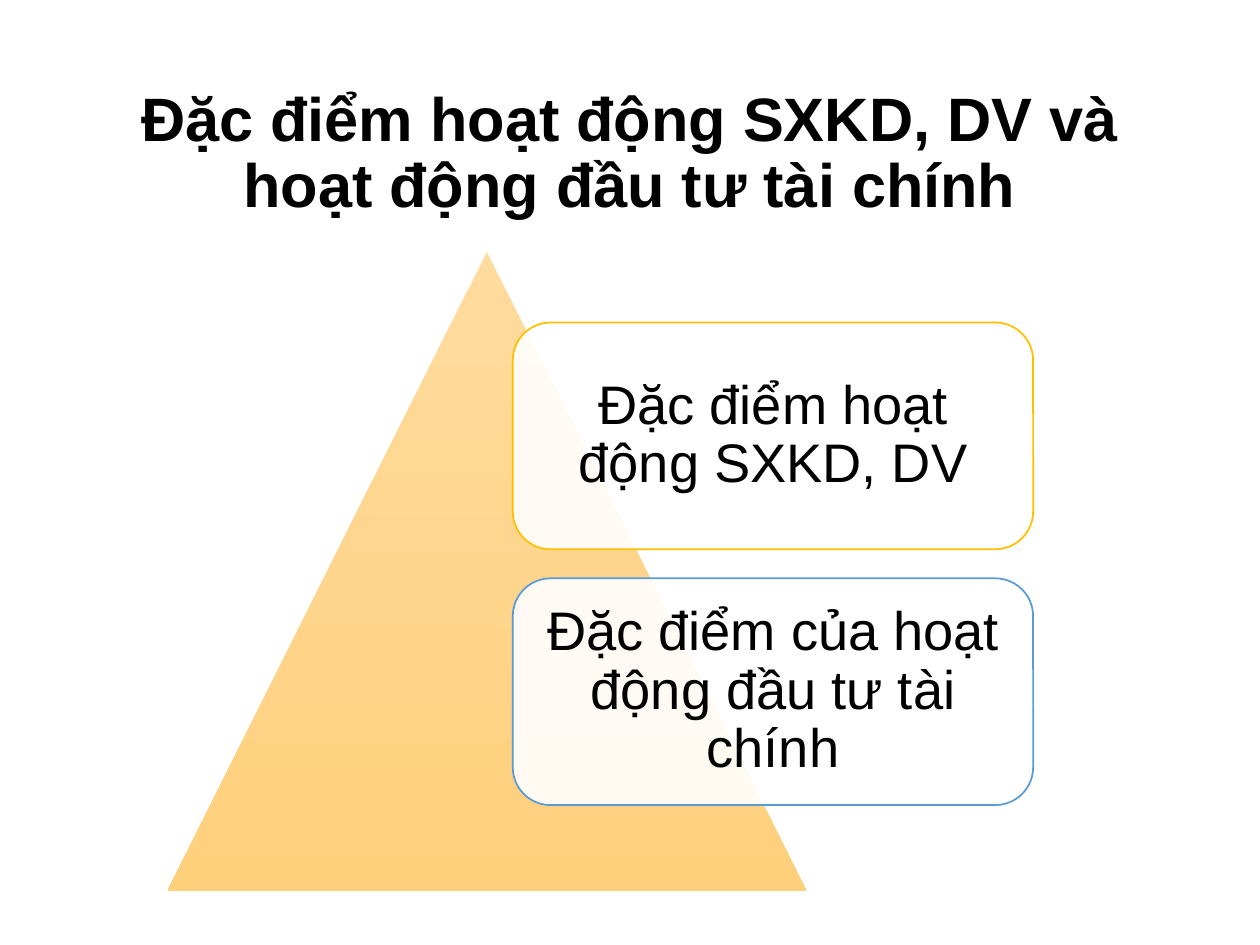
from lxml import etree
from pptx import Presentation
from pptx.dml.color import RGBColor
from pptx.enum import shapes, text
from pptx.oxml.ns import qn
from pptx.util import Inches, Pt

BLACK = RGBColor(0x00, 0x00, 0x00)
WHITE = RGBColor(0xFF, 0xFF, 0xFF)
GOLD = RGBColor(0xFF, 0xC0, 0x00)
BLUE = RGBColor(0x5B, 0x9B, 0xD5)
ORANGE_TOP = RGBColor(0xFF, 0xDB, 0x9E)
ORANGE_BOTTOM = RGBColor(0xFF, 0xD0, 0x7C)

TITLE = "Đặc điểm hoạt động SXKD, DV và hoạt động đầu tư tài chính"
CARDS = [
    ("Đặc điểm hoạt động SXKD, DV", GOLD),
    ("Đặc điểm của hoạt động đầu tư tài chính", BLUE),
]


def write_text(sp, words, size, bold=False):
    """Centre one paragraph in the shape."""
    tf = sp.text_frame
    tf.word_wrap = True
    tf.vertical_anchor = text.MSO_ANCHOR.MIDDLE
    p = tf.paragraphs[0]
    p.text = words
    p.alignment = text.PP_ALIGN.CENTER
    p.line_spacing = 0.9
    font = p.runs[0].font
    font.name = "Arial"
    font.size = Pt(size)
    font.bold = bold
    font.color.rgb = BLACK


def add_title(s, left, top, width, height):
    sp = s.shapes.add_textbox(left, top, width, height)
    write_text(sp, TITLE, 35, bold=True)


def add_triangle(s, left, top, side):
    sp = s.shapes.add_shape(shapes.MSO_SHAPE.ISOSCELES_TRIANGLE,
                            left, top, side, side)
    sp.shadow.inherit = False
    sp.line.fill.background()
    sp.fill.gradient()
    sp.fill.gradient_angle = 270  # downwards
    for stop, color in zip(sp.fill.gradient_stops, (ORANGE_TOP, ORANGE_BOTTOM)):
        stop.color.rgb = color


def add_card(s, left, top, width, height, words, color):
    sp = s.shapes.add_shape(shapes.MSO_SHAPE.ROUNDED_RECTANGLE,
                            left, top, width, height)
    sp.shadow.inherit = False
    sp.fill.solid()
    sp.fill.fore_color.rgb = WHITE
    # 90 % opaque, so the triangle shows through
    fill_color = sp._element.spPr.find(qn("a:solidFill"))[0]
    etree.SubElement(fill_color, qn("a:alpha")).set("val", "90000")
    sp.line.color.rgb = color
    sp.line.width = Pt(1)
    tf = sp.text_frame
    tf.margin_left = tf.margin_right = Inches(0.13)
    tf.margin_top = tf.margin_bottom = Inches(0.13)
    write_text(sp, words, 31)


def add_pyramid_list(s, left, top, side):
    """Triangle with a column of cards starting right of its middle line."""
    add_triangle(s, left, top, side)
    card_height, gap = Inches(1.8), Inches(0.23)
    for i, (words, color) in enumerate(CARDS):
        add_card(s, left + Inches(2.74), top + Inches(0.56) + i * (card_height + gap),
                 Inches(4.13), card_height, words, color)


def main():
    prs = Presentation()
    prs.slide_width, prs.slide_height = Inches(10), Inches(7.5)
    s = prs.slides.add_slide(prs.slide_layouts[6])
    add_title(s, Inches(0.69), Inches(0.61), Inches(8.62), Inches(1.24))
    add_pyramid_list(s, Inches(1.33), Inches(2), Inches(5.07))
    prs.save("out.pptx")


if __name__ == "__main__":
    main()
